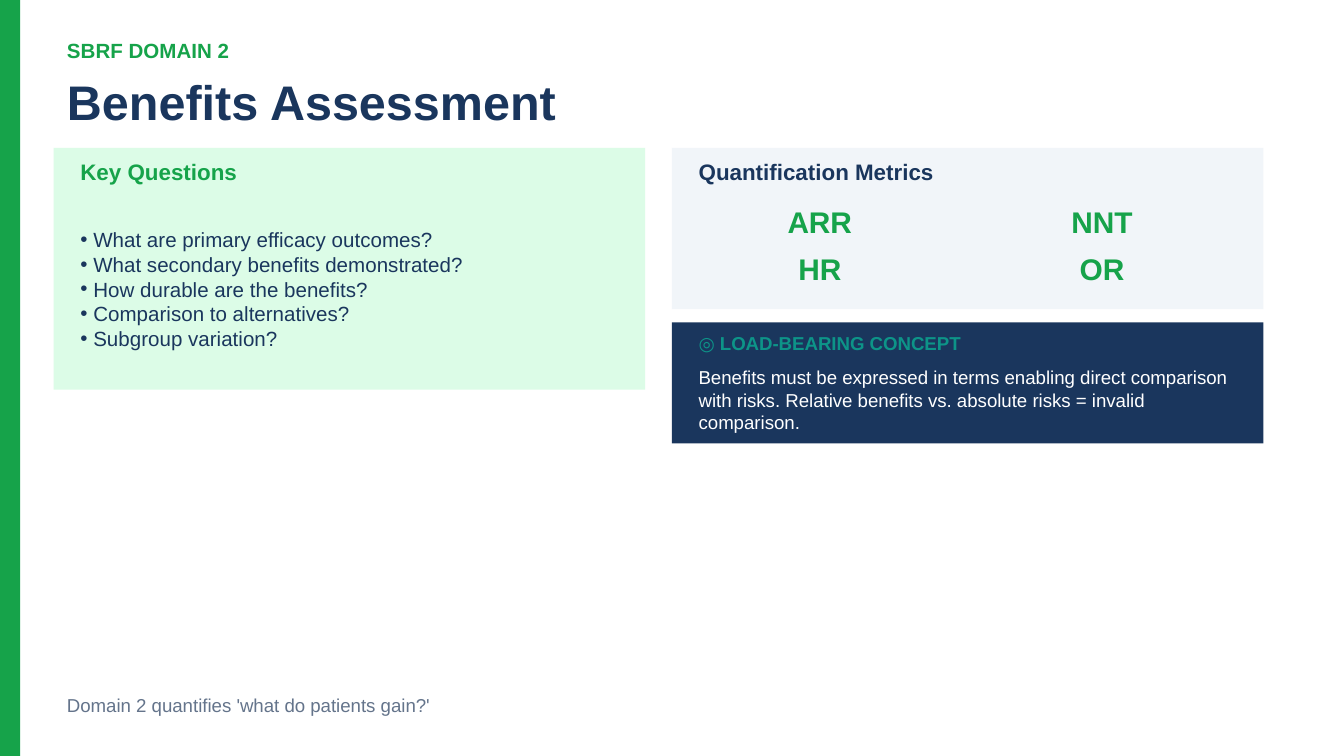
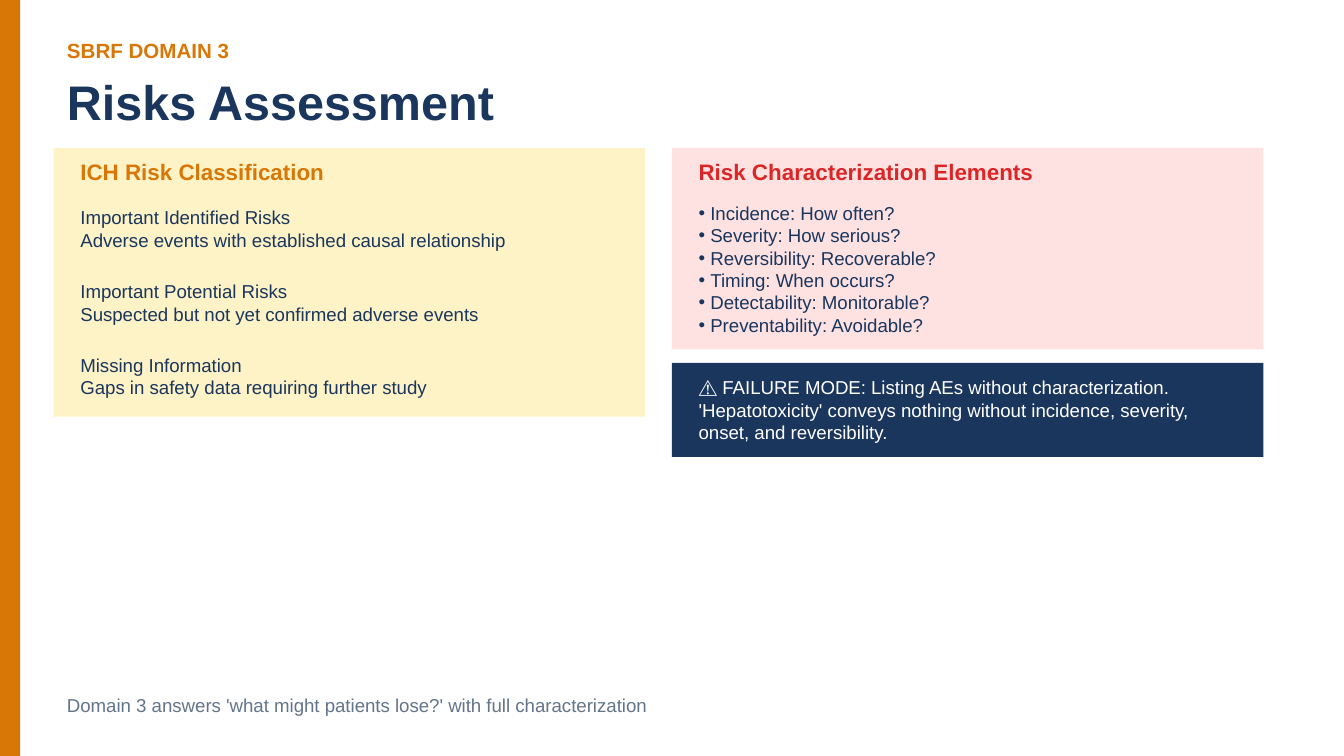
from lxml.etree import SubElement
from pptx import Presentation
from pptx.dml.color import RGBColor
from pptx.enum.shapes import MSO_SHAPE as Preset
from pptx.enum.text import MSO_ANCHOR as Anchor, PP_ALIGN as Align
from pptx.oxml.ns import qn
from pptx.util import Pt

COLORS = {
    "navy": "1A365D",
    "green": "16A34A",
    "mint": "DCFCE7",
    "mist": "F1F5F9",
    "teal": "0D9488",
    "orange": "D97706",
    "cream": "FEF3C7",
    "red": "DC2626",
    "rose": "FEE2E2",
    "slate": "64748B",
    "white": "FFFFFF",
}
FONT = "Arial"
SLIDE_WIDTH, SLIDE_HEIGHT = 720, 405

# Two-column grid, in points
LEFT, RIGHT = 28.8, 360
COLUMN_WIDTH = 316.8
PANEL_TOP = 79.2
PADDING = 7.2
TEXT_WIDTH = COLUMN_WIDTH - 2 * PADDING
BODY_TOP = 104.4


def add_bar(slide, left, top, width, height, color):
    """Plain filled rectangle."""
    shape = slide.shapes.add_shape(
        Preset.RECTANGLE, Pt(left), Pt(top), Pt(width), Pt(height))
    shape.shadow.inherit = False
    shape.fill.solid()
    shape.fill.fore_color.rgb = RGBColor.from_string(COLORS[color])
    shape.line.fill.background()


def add_bullet(paragraph, size):
    """Hanging bullet whose indent follows the text size."""
    indent = Pt(round(size * 0.63, 2))
    properties = paragraph._p.get_or_add_pPr()
    properties.set("marL", str(indent))
    properties.set("indent", str(-indent))
    SubElement(properties, qn("a:buFont"), typeface=FONT)
    SubElement(properties, qn("a:buChar"), char="•")


def add_text(slide, left, top, width, height, lines, size, color="navy",
             bold=False, align=Align.LEFT, bullets=False):
    """Text box with one paragraph per line, centred vertically."""
    box = slide.shapes.add_textbox(Pt(left), Pt(top), Pt(width), Pt(height))
    frame = box.text_frame
    frame.word_wrap = True
    frame.vertical_anchor = Anchor.MIDDLE
    frame.text = "\n".join(lines)
    for paragraph in frame.paragraphs:
        paragraph.alignment = align
        if bullets:
            add_bullet(paragraph, size)
        for run in paragraph.runs:
            run.font.name = FONT
            run.font.size = Pt(size)
            run.font.bold = bold
            run.font.color.rgb = RGBColor.from_string(COLORS[color])


def add_panel(slide, left, height, fill, heading, heading_color):
    """Tinted panel at the top of a column, with its heading."""
    add_bar(slide, left, PANEL_TOP, COLUMN_WIDTH, height, fill)
    add_text(slide, left + PADDING, PANEL_TOP + 3.6, TEXT_WIDTH, 18,
             [heading], 12, heading_color, bold=True)


def add_column_text(slide, left, top, height, lines, size=10, **style):
    """Text inside a column panel."""
    add_text(slide, left + PADDING, top, TEXT_WIDTH, height, lines, size, **style)


def add_domain_slide(presentation, number, title, footer, accent):
    """Blank slide with side band, domain label, title and footer."""
    slide = presentation.slides.add_slide(presentation.slide_layouts[6])
    add_bar(slide, 0, 0, 10.8, SLIDE_HEIGHT, accent)
    add_text(slide, LEFT, 18, 288, 18, [f"SBRF DOMAIN {number}"], 11, accent, bold=True)
    add_text(slide, LEFT, 36, 648, 36, [title], 26, bold=True)
    add_text(slide, LEFT, 367.2, 648, 21.6, [footer], 10, "slate")
    return slide


def build_benefits(presentation):
    slide = add_domain_slide(presentation, 2, "Benefits Assessment",
                             "Domain 2 quantifies 'what do patients gain?'", "green")

    # Key questions
    add_panel(slide, LEFT, 129.6, "mint", "Key Questions", "green")
    add_column_text(slide, LEFT, BODY_TOP, 100.8, [
        "What are primary efficacy outcomes?",
        "What secondary benefits demonstrated?",
        "How durable are the benefits?",
        "Comparison to alternatives?",
        "Subgroup variation?",
    ], size=11, bullets=True)

    # Metrics in a two-by-two grid
    add_panel(slide, RIGHT, 86.4, "mist", "Quantification Metrics", "navy")
    for index, metric in enumerate(["ARR", "NNT", "HR", "OR"]):
        row, column = divmod(index, 2)
        add_text(slide, RIGHT + PADDING + column * 151.2, 108 + row * 25.2,
                 144, 21.6, [metric], 16, "green", bold=True, align=Align.CENTER)

    # Load-bearing concept
    add_bar(slide, RIGHT, 172.8, COLUMN_WIDTH, 64.8, "navy")
    add_column_text(slide, RIGHT, 176.4, 14.4, ["◎ LOAD-BEARING CONCEPT"],
                    color="teal", bold=True)
    add_column_text(slide, RIGHT, 194.4, 39.6, [
        "Benefits must be expressed in terms enabling direct comparison with risks. "
        "Relative benefits vs. absolute risks = invalid comparison.",
    ], color="white")


def build_risks(presentation):
    slide = add_domain_slide(
        presentation, 3, "Risks Assessment",
        "Domain 3 answers 'what might patients lose?' with full characterization", "orange")

    # Risk classes
    add_panel(slide, LEFT, 144, "cream", "ICH Risk Classification", "orange")
    risk_classes = [
        ("Important Identified Risks", "Adverse events with established causal relationship"),
        ("Important Potential Risks", "Suspected but not yet confirmed adverse events"),
        ("Missing Information", "Gaps in safety data requiring further study"),
    ]
    for index, risk_class in enumerate(risk_classes):
        add_column_text(slide, LEFT, BODY_TOP + index * 39.6, 36, risk_class)

    # Characterization elements
    add_panel(slide, RIGHT, 108, "rose", "Risk Characterization Elements", "red")
    add_column_text(slide, RIGHT, BODY_TOP, 79.2, [
        "Incidence: How often?",
        "Severity: How serious?",
        "Reversibility: Recoverable?",
        "Timing: When occurs?",
        "Detectability: Monitorable?",
        "Preventability: Avoidable?",
    ], bullets=True)

    # Failure mode
    add_bar(slide, RIGHT, 194.4, COLUMN_WIDTH, 50.4, "navy")
    add_column_text(slide, RIGHT, 201.6, 36, [
        "⚠ FAILURE MODE: Listing AEs without characterization. 'Hepatotoxicity' "
        "conveys nothing without incidence, severity, onset, and reversibility.",
    ], color="white")


def main():
    presentation = Presentation()
    presentation.slide_width = Pt(SLIDE_WIDTH)
    presentation.slide_height = Pt(SLIDE_HEIGHT)
    build_benefits(presentation)
    build_risks(presentation)
    presentation.save("out.pptx")


if __name__ == "__main__":
    main()
